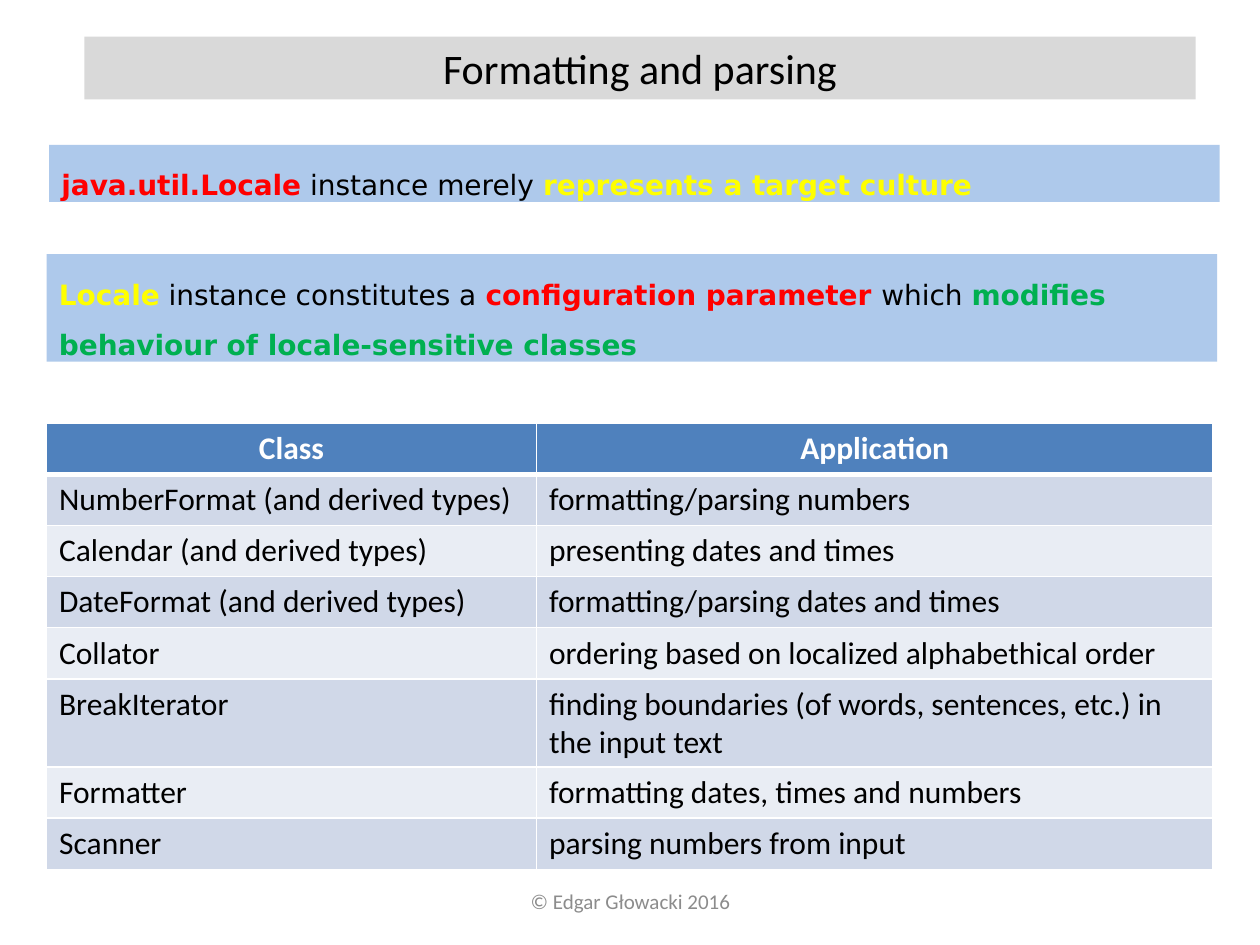
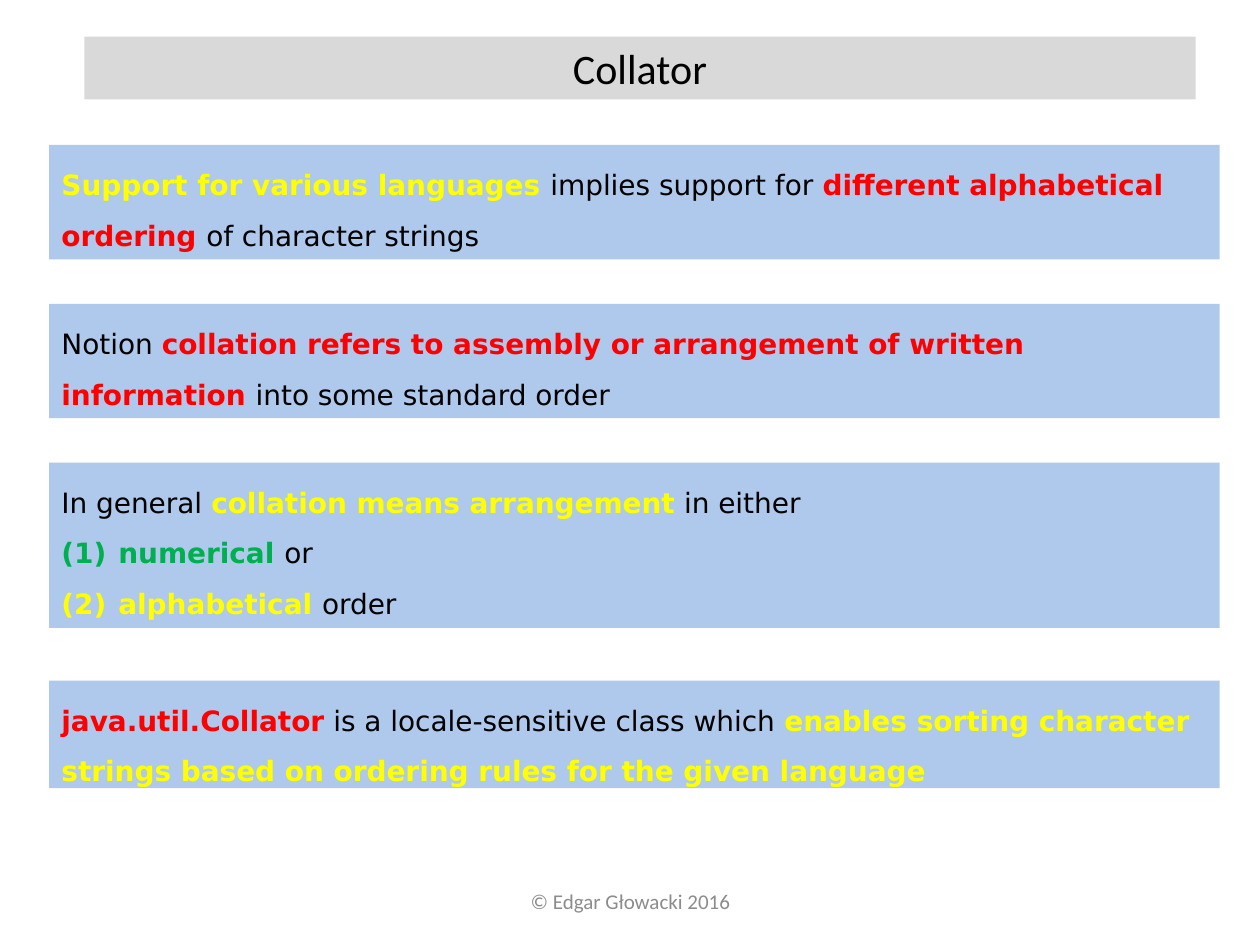
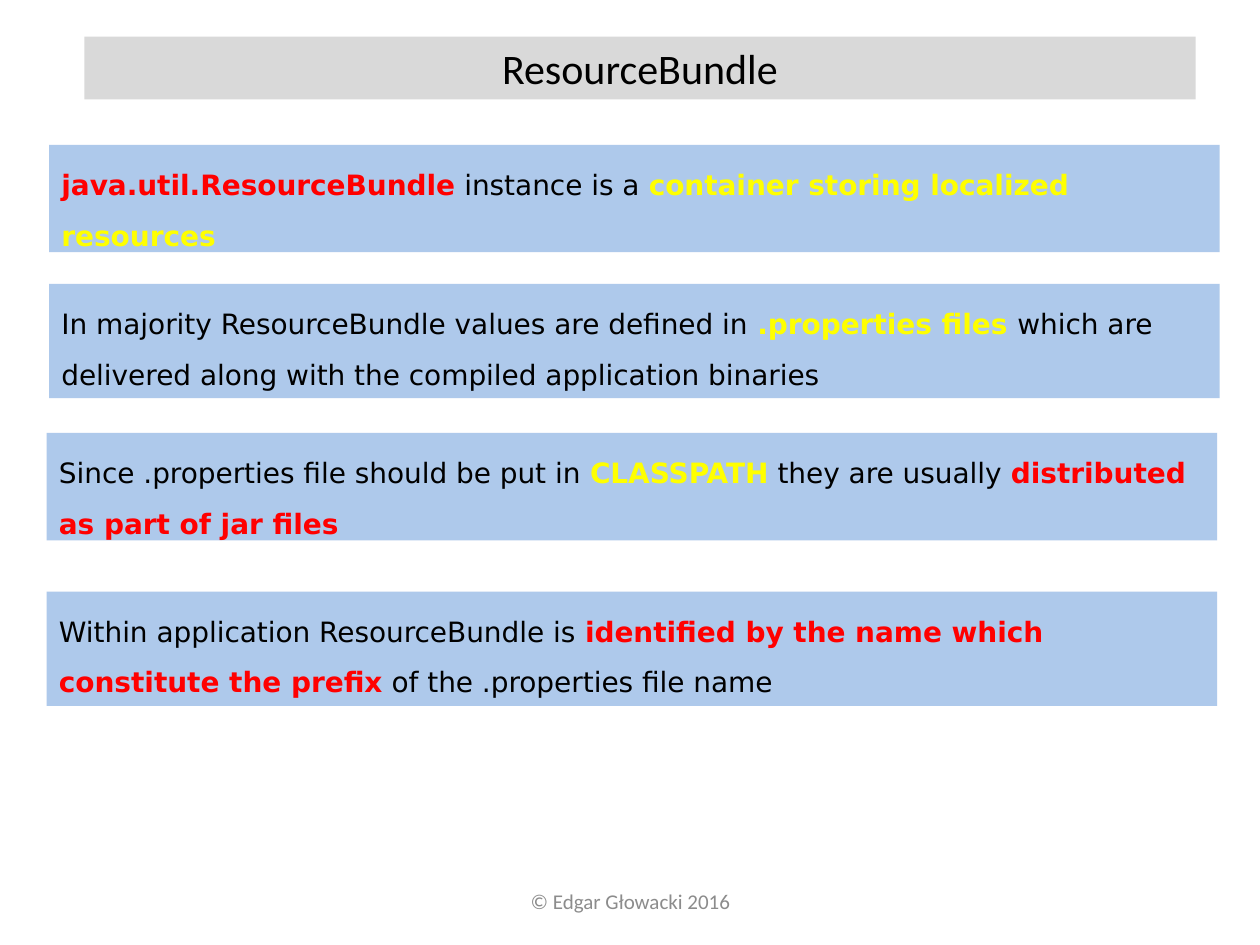
from lxml.etree import SubElement
from pptx import Presentation
from pptx.dml.color import RGBColor
from pptx.enum.shapes import MSO_SHAPE
from pptx.enum.text import MSO_ANCHOR, PP_ALIGN
from pptx.oxml.ns import qn
from pptx.util import Pt

COLORS = {
    "title_band": "D9D9D9",
    "panel": "8EB4E3",
    "header": "4F81BD",
    "odd_row": "D0D8E8",
    "even_row": "E9EDF4",
    "footer": "8C8C8C",
    "black": "000000",
    "white": "FFFFFF",
    "red": "FF0000",
    "yellow": "FFFF00",
    "green": "00B050",
}
TITLE_BOX = (48.2, 20.9, 635, 36)
FOOTER_BOX = (246.2, 500.4, 228.2, 28.8)
TABLE_BOX = (26.6, 241.9, 666.7, 233.6)
CLASS_COLUMN_SHARE = 0.42
PANEL_WIDTH = 669
PANEL_OPACITY = 71
NUMBER_INDENT = 27

FOOTER = "© Edgar Głowacki 2016"

CLASSES = [
    ("Class", "Application"),
    ("NumberFormat (and derived types)", "formatting/parsing numbers"),
    ("Calendar (and derived types)", "presenting dates and times"),
    ("DateFormat (and derived types)", "formatting/parsing dates and times"),
    ("Collator", "ordering based on localized alphabethical order"),
    ("BreakIterator", "finding boundaries (of words, sentences, etc.) in the input text"),
    ("Formatter", "formatting dates, times and numbers"),
    ("Scanner", "parsing numbers from input"),
]

FORMATTING_PANELS = [
    ((28, 82.8, 32.6), [
        [("java.util.Locale", "red"), (" instance merely ", "black"),
         ("represents a target culture", "yellow")],
    ]),
    ((26.6, 145.3, 61.4), [
        [("Locale", "yellow"), (" instance constitutes a ", "black"),
         ("configuration parameter ", "red"), ("which ", "black"),
         ("modifies behaviour of locale-sensitive classes", "green")],
    ]),
]

COLLATOR_PANELS = [
    ((28, 82.8, 65.4), [
        [("Support for various languages ", "yellow"), ("implies support for ", "black"),
         ("different alphabetical ordering ", "red"), ("of character strings", "black")],
    ]),
    ((28, 173.6, 65.4), [
        [("Notion ", "black"),
         ("collation refers to assembly or arrangement of written information ", "red"),
         ("into some standard order", "black")],
    ]),
    ((28, 264.4, 94.4), [
        [("In general ", "black"), ("collation means arrangement", "yellow"),
         (" in either", "black")],
        [(" numerical ", "green"), ("or", "black")],
        [(" alphabetical ", "yellow"), ("order", "black")],
    ]),
    ((28, 389, 61.4), [
        [("java.util.Collator", "red"), (" is a locale-sensitive class which ", "black"),
         ("enables sorting character strings based on ordering rules"
          " for the given language", "yellow")],
    ]),
]

BUNDLE_PANELS = [
    ((28, 82.8, 61.4), [
        [("java.util.ResourceBundle", "red"), (" instance is a ", "black"),
         ("container storing localized resources", "yellow")],
    ]),
    ((28, 162.2, 65.4), [
        [("In majority ResourceBundle values are defined in ", "black"),
         (".properties files ", "yellow"),
         ("which are delivered along with the compiled application binaries", "black")],
    ]),
    ((26.6, 247.4, 61.4), [
        [("Since .properties file should be put in ", "black"), ("CLASSPATH", "yellow"),
         (" they are usually ", "black"), ("distributed as part of jar files", "red")],
    ]),
    ((26.6, 338, 65.4), [
        [("Within application ResourceBundle is ", "black"),
         ("identified by the name which constitute the prefix", "red"),
         (" of the .properties file name", "black")],
    ]),
]


def color(name):
    return RGBColor.from_string(COLORS[name])


def points(box):
    return [Pt(length) for length in box]


def write_line(text_frame, text, size, color_name, align=PP_ALIGN.CENTER, bold=False):
    text_frame.word_wrap = True
    paragraph = text_frame.paragraphs[0]
    paragraph.text = text
    paragraph.alignment = align
    font = paragraph.font
    font.name, font.size, font.bold = "Calibri", Pt(size), bold
    font.color.rgb = color(color_name)


def add_band(slide, box, fill_name):
    shape = slide.shapes.add_shape(MSO_SHAPE.RECTANGLE, *points(box))
    shape.shadow.inherit = False
    shape.fill.solid()
    shape.fill.fore_color.rgb = color(fill_name)
    shape.line.fill.background()
    shape.text_frame.word_wrap = True
    shape.text_frame.vertical_anchor = MSO_ANCHOR.TOP
    return shape


def add_footer(slide, box):
    text_frame = slide.shapes.add_textbox(*points(box)).text_frame
    text_frame.vertical_anchor = MSO_ANCHOR.MIDDLE
    write_line(text_frame, FOOTER, 12, "footer")


def number_paragraph(paragraph):
    properties = paragraph._p.get_or_add_pPr()
    properties.set("marL", str(Pt(NUMBER_INDENT)))
    properties.set("indent", str(-Pt(NUMBER_INDENT)))
    SubElement(properties, qn("a:buAutoNum"), type="arabicParenBoth")


def add_panel(slide, box, lines):
    shape = add_band(slide, box, "panel")
    fill_color = shape.fill._xPr.find(qn("a:solidFill"))[0]
    SubElement(fill_color, qn("a:alpha"), val=str(PANEL_OPACITY * 1000))
    text_frame = shape.text_frame
    for index, runs in enumerate(lines):
        paragraph = text_frame.add_paragraph() if index else text_frame.paragraphs[0]
        paragraph.alignment = PP_ALIGN.LEFT
        paragraph.line_spacing = 1.5
        paragraph.font.name, paragraph.font.size = "DejaVu Sans", Pt(16)
        if index:
            number_paragraph(paragraph)
        for text, color_name in runs:
            run = paragraph.add_run()
            run.text = text
            run.font.bold = color_name != "black"
            run.font.color.rgb = color(color_name)


def add_cell_borders(cell, widths):
    properties = cell._tc.get_or_add_tcPr()
    for side, width in widths.items():
        line = SubElement(properties, qn(f"a:ln{side}"), w=str(Pt(width)))
        fill = SubElement(line, qn("a:solidFill"))
        SubElement(fill, qn("a:srgbClr"), val=COLORS["white"])


def add_class_table(slide, box, rows):
    table = slide.shapes.add_table(len(rows), 2, *points(box)).table
    width = box[2]
    table.columns[0].width = Pt(round(width * CLASS_COLUMN_SHARE, 1))
    table.columns[1].width = Pt(width) - table.columns[0].width
    for row_index, texts in enumerate(rows):
        is_header = row_index == 0
        fill_name = "header" if is_header else "odd_row" if row_index % 2 else "even_row"
        for column_index, text in enumerate(texts):
            cell = table.cell(row_index, column_index)
            add_cell_borders(cell, {
                "L": 1, "R": 1, "T": 3 if row_index == 1 else 1, "B": 3 if is_header else 1,
            })
            cell.fill.solid()
            cell.fill.fore_color.rgb = color(fill_name)
            write_line(cell.text_frame, text, 18, "white" if is_header else "black",
                       PP_ALIGN.CENTER if is_header else PP_ALIGN.LEFT, is_header)


def add_content_slide(presentation, title, panels):
    slide = presentation.slides.add_slide(presentation.slide_layouts[6])
    add_footer(slide, FOOTER_BOX)
    write_line(add_band(slide, TITLE_BOX, "title_band").text_frame, title, 24, "black")
    for (left, top, height), lines in panels:
        add_panel(slide, (left, top, PANEL_WIDTH, height), lines)
    return slide


def main():
    presentation = Presentation()
    presentation.slide_width, presentation.slide_height = Pt(720), Pt(540)
    formatting_slide = add_content_slide(presentation, "Formatting and parsing", FORMATTING_PANELS)
    add_class_table(formatting_slide, TABLE_BOX, CLASSES)
    add_content_slide(presentation, "Collator", COLLATOR_PANELS)
    add_content_slide(presentation, "ResourceBundle", BUNDLE_PANELS)
    presentation.save("out.pptx")


if __name__ == "__main__":
    main()
